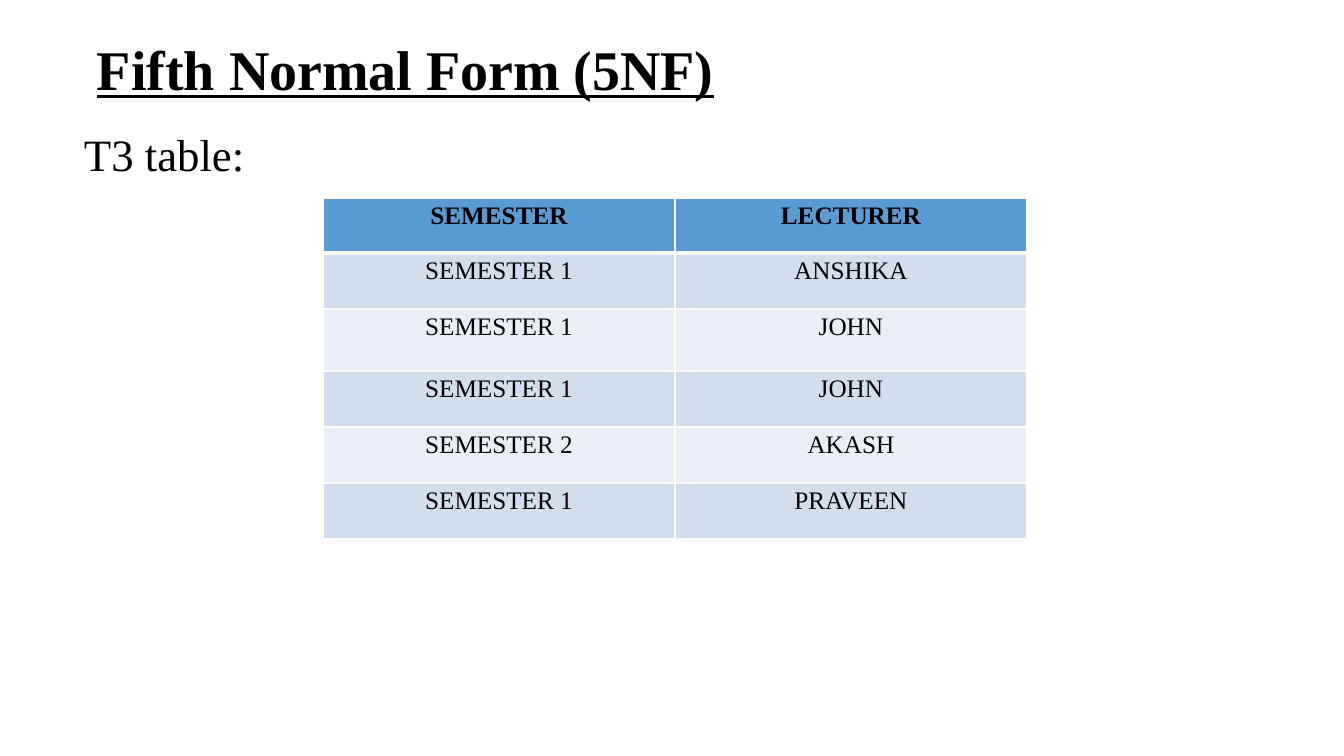
from lxml import etree
from pptx import Presentation
from pptx.dml.color import RGBColor
from pptx.enum.text import MSO_ANCHOR, MSO_AUTO_SIZE, PP_ALIGN
from pptx.oxml.ns import qn
from pptx.util import Pt

PX = 914400 / 100.8
TOP = MSO_ANCHOR.TOP
NO_AUTOFIT = MSO_AUTO_SIZE.NONE
LEFT, CENTER = PP_ALIGN.LEFT, PP_ALIGN.CENTER
TITLE_ONLY = 5
HEADER_FILL, BAND_FILLS = "5B9BD4", ("D2DEEE", "EAEEF7")
COLUMN_WIDTH = 352
ROW_HEIGHTS = (55, 56, 62, 56, 56, 56)
T3_ROWS = (
    ("SEMESTER", "LECTURER"),
    ("SEMESTER 1", "ANSHIKA"),
    ("SEMESTER 1", "JOHN"),
    ("SEMESTER 1", "JOHN"),
    ("SEMESTER 2", "AKASH"),
    ("SEMESTER 1", "PRAVEEN"),
)


def px(length):
    """Turn pixels into EMU."""
    return round(length * PX)


def color(value):
    """Turn a hex string into a colour."""
    return RGBColor.from_string(value)


def set_all(target, values):
    """Set each named attribute on the target."""
    for name, value in values.items():
        setattr(target, name, value)


def write(frame, text, size, align=LEFT, **formats):
    """Write one formatted paragraph into a text frame."""
    para = frame.paragraphs[0]
    set_all(para, {"alignment": align, "space_before": Pt(0)})
    span = para.add_run()
    span.text = text
    set_all(span.font, {"name": "Times New Roman", "size": Pt(size), **formats})
    span.font.color.rgb = color("000000")


def place_text(box, area, top_inset, text, size, **formats):
    """Move a text shape and fill it with one line."""
    set_all(box, dict(zip(("left", "top", "width", "height"), map(px, area))))
    frame = box.text_frame
    set_all(frame, {
        "word_wrap": True, "auto_size": NO_AUTOFIT, "vertical_anchor": TOP,
        "margin_left": px(1), "margin_top": px(top_inset),
        "margin_right": 0, "margin_bottom": 0,
    })
    write(frame, text, size, **formats)


def add_border(cell, side, points):
    """Draw a white line on one side of a cell."""
    properties = cell._tc.get_or_add_tcPr()
    line = etree.SubElement(properties, qn(f"a:ln{side}"), w=str(Pt(points)))
    fill = etree.SubElement(line, qn("a:solidFill"))
    etree.SubElement(fill, qn("a:srgbClr"), val="FFFFFF")


def fill_cell(cell, text, row):
    """Format one cell according to its row."""
    set_all(cell, {"margin_left": 0, "margin_right": 0, "margin_top": px(4),
                   "margin_bottom": 0, "vertical_anchor": TOP})
    widths = {"L": 1, "R": 1, "T": 3 if row == 1 else 1, "B": 3 if row == 0 else 1}
    for side, points in widths.items():
        add_border(cell, side, points)
    cell.fill.solid()
    cell.fill.fore_color.rgb = color(BAND_FILLS[(row - 1) % 2] if row else HEADER_FILL)
    write(cell.text_frame, text, 18, CENTER, bold=row == 0)


def add_t3_table(page, left, top):
    """Add the table of semesters and lecturers."""
    columns = len(T3_ROWS[0])
    area = map(px, (left, top, columns * COLUMN_WIDTH, sum(ROW_HEIGHTS)))
    table = page.shapes.add_table(len(T3_ROWS), columns, *area).table
    for column in table.columns:
        column.width = px(COLUMN_WIDTH)
    for row, (texts, height) in enumerate(zip(T3_ROWS, ROW_HEIGHTS)):
        table.rows[row].height = px(height)
        for column, text in enumerate(texts):
            fill_cell(table.cell(row, column), text, row)


def main():
    """Build and save the slide."""
    deck = Presentation()
    set_all(deck, {"slide_width": px(1344), "slide_height": px(756)})
    page = deck.slides.add_slide(deck.slide_layouts[TITLE_ONLY])
    place_text(page.shapes.title, (96, 3, 1152, 118), 31,
               "Fifth Normal Form (5NF)", 40, bold=True, underline=True)
    label = page.shapes.add_textbox(0, 0, 0, 0)
    place_text(label, (83, 122, 163, 56), 5, "T3 table:", 32)
    add_t3_table(page, 323, 198)
    deck.save("out.pptx")


if __name__ == "__main__":
    main()
